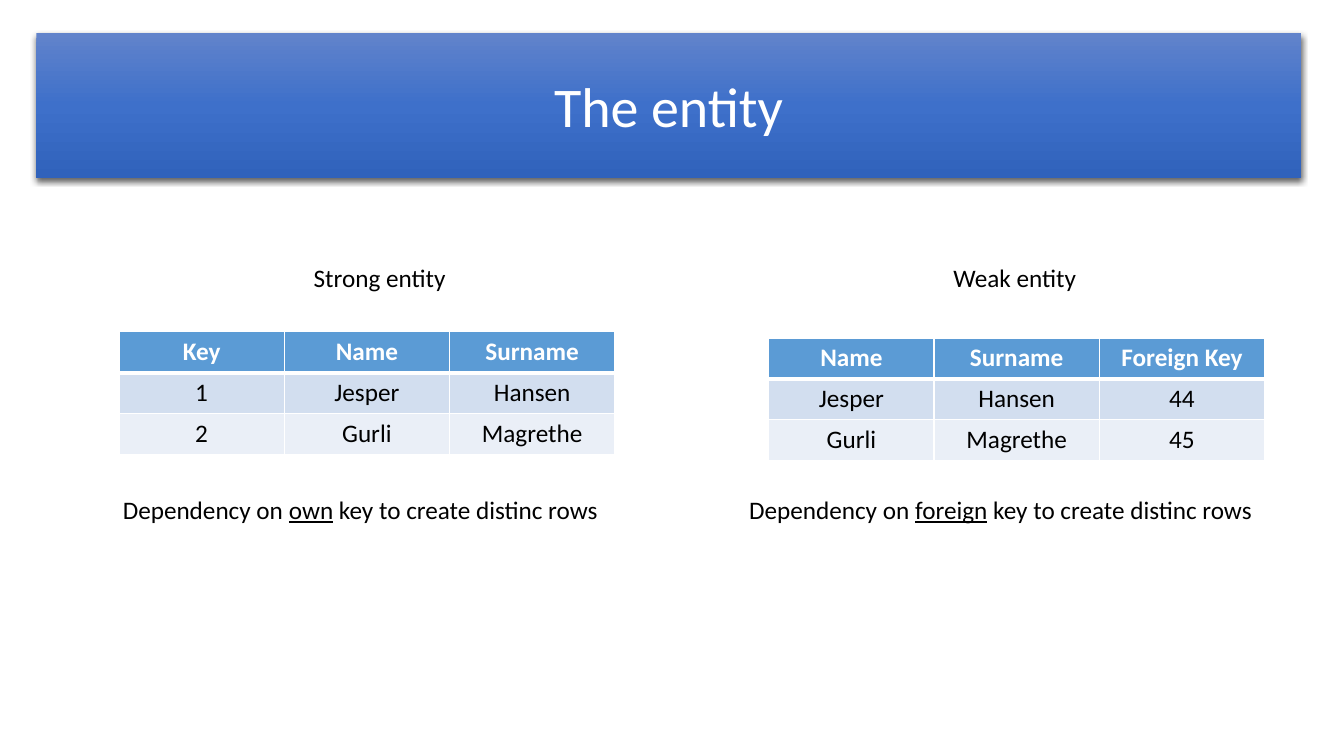
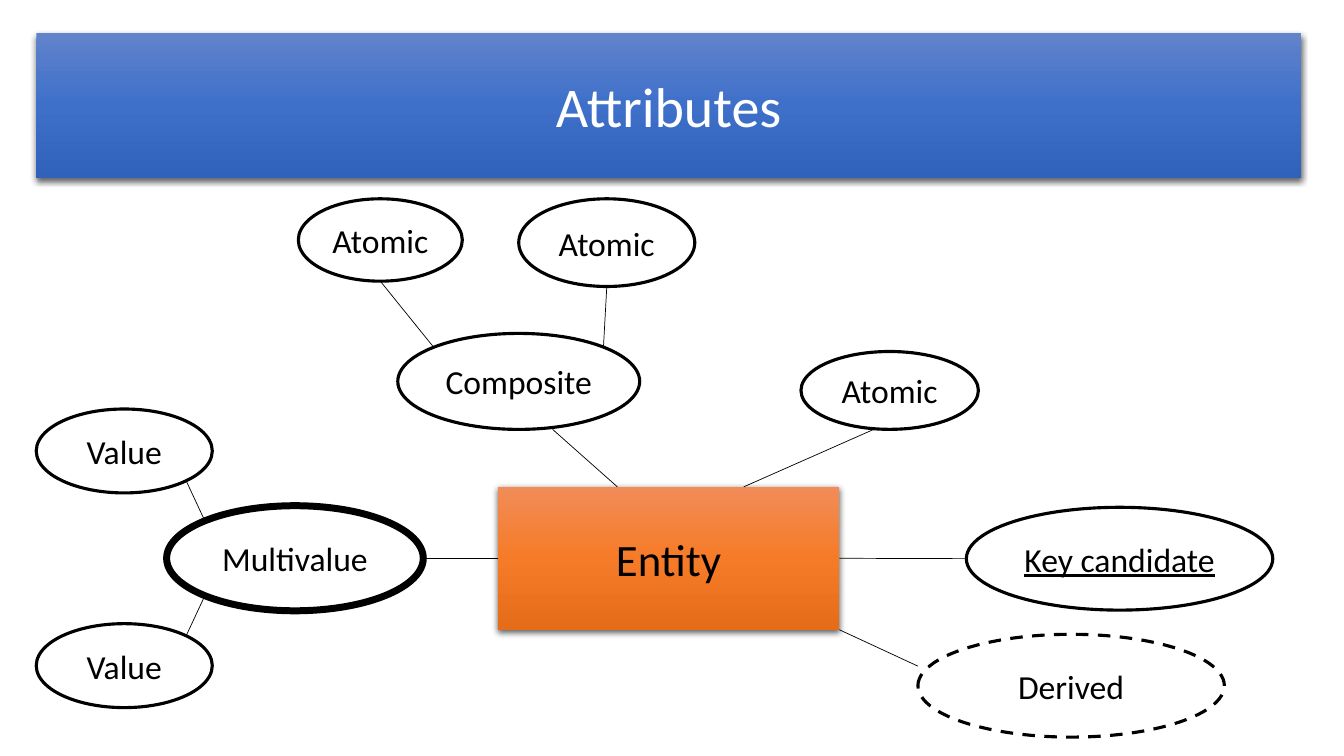
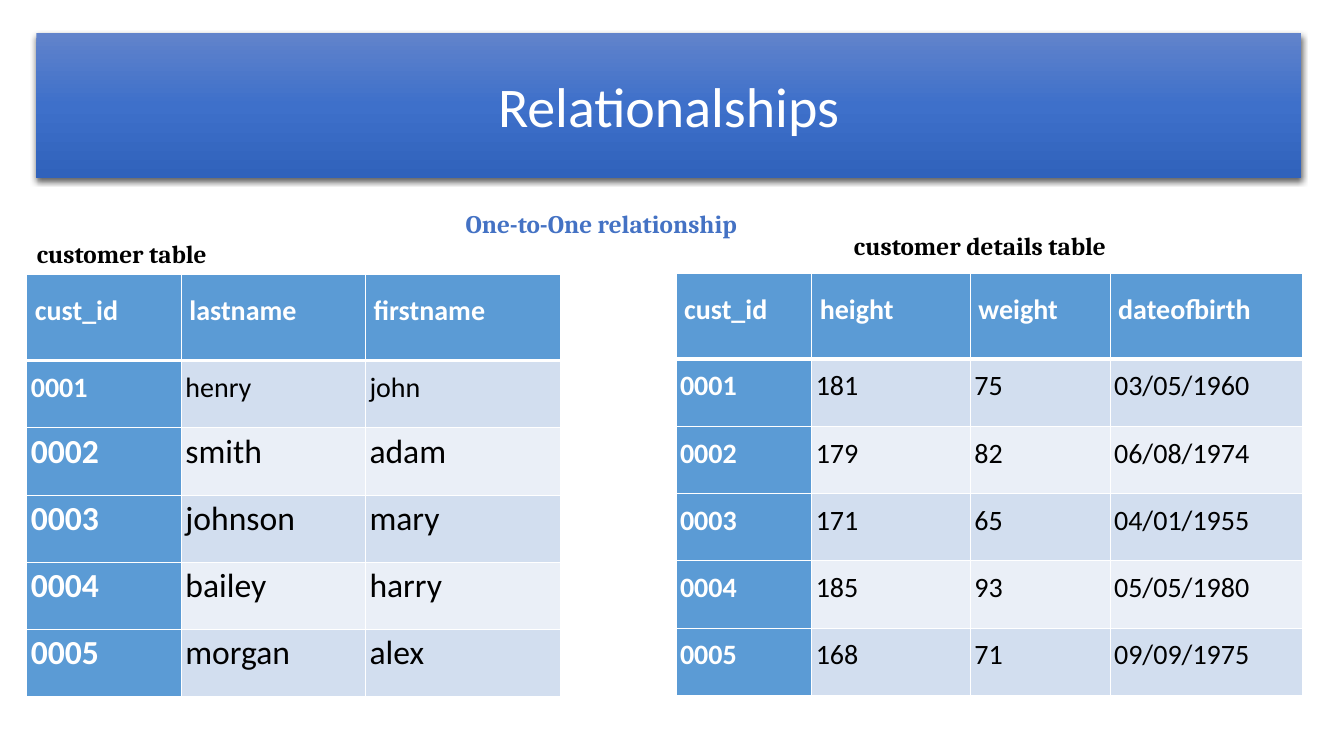
import dataclasses
import copy
import typing

import lxml.etree
import pptx
import pptx.dml.color
import pptx.enum.dml
import pptx.enum.shapes
import pptx.enum.text
import pptx.oxml.ns
import pptx.presentation
import pptx.shapes.autoshape
import pptx.slide
import pptx.table
import pptx.text.text
import pptx.util

RGBColor = pptx.dml.color.RGBColor
Align = pptx.enum.text.PP_ALIGN
Anchor = pptx.enum.text.MSO_ANCHOR
Preset = pptx.enum.shapes.MSO_SHAPE
qn = pptx.oxml.ns.qn

BLACK = RGBColor(0x00, 0x00, 0x00)
WHITE = RGBColor(0xFF, 0xFF, 0xFF)
HEADING_BLUE = RGBColor(0x44, 0x72, 0xC4)
HEADER_FILL = RGBColor(0x5B, 0x9B, 0xD5)
BAND_FILLS = (RGBColor(0xD2, 0xDE, 0xEF), RGBColor(0xEA, 0xEF, 0xF7))
BLUE_GRADIENT = (
    RGBColor(0x61, 0x83, 0xCB),
    RGBColor(0x3E, 0x70, 0xCA),
    RGBColor(0x30, 0x62, 0xBB),
)
ORANGE_GRADIENT = (
    RGBColor(0xF1, 0x8C, 0x57),
    RGBColor(0xF6, 0x7B, 0x28),
    RGBColor(0xE5, 0x6C, 0x19),
)
SLIDE_WIDTH = pptx.util.Inches(13.333)
SLIDE_HEIGHT = pptx.util.Inches(7.5)
TITLE_ONLY_LAYOUT = 5


def across(percent: float) -> int:
    return round(SLIDE_WIDTH * percent / 100)


def down(percent: float) -> int:
    return round(SLIDE_HEIGHT * percent / 100)


@dataclasses.dataclass(frozen=True)
class Box:
    left: float
    top: float
    width: float
    height: float

    def lengths(self) -> tuple[int, int, int, int]:
        return across(self.left), down(self.top), across(self.width), down(self.height)

    def point(self, share: tuple[float, float]) -> tuple[int, int]:
        return (
            across(self.left + self.width * share[0]),
            down(self.top + self.height * share[1]),
        )


@dataclasses.dataclass(frozen=True)
class Label:
    text: str
    box: Box
    underlined: str = ""
    font: str = "Calibri"
    color: RGBColor = BLACK
    bold: bool = False
    line_spacing: float | None = None


@dataclasses.dataclass(frozen=True)
class Attribute:
    text: str
    box: Box
    line_width: float = 2.25
    dashed: bool = False
    underlined: str = ""


class Link(typing.NamedTuple):
    start: str
    start_share: tuple[float, float]
    end: str
    end_share: tuple[float, float]


@dataclasses.dataclass(frozen=True)
class TableStyle:
    size: float
    header_margins: tuple[float, float]
    body_margins: tuple[float, float]
    alignment: Align
    anchor: Anchor
    line_spacing: pptx.util.Length | None
    key_column: bool
    header_height: float
    row_height: float


@dataclasses.dataclass(frozen=True)
class DataTable:
    left: float
    top: float
    columns: tuple[float, ...]
    rows: tuple[tuple[str, ...], ...]
    style: TableStyle
    later_size: float | None = None


TITLE_BOX = Box(2.7, 4.4, 94.1, 19.1)
COMPACT = TableStyle(
    18, (0.1, 0.05), (0.1, 0.05), Align.CENTER, Anchor.TOP, None, False, 5.4, 5.4
)
SPACIOUS = TableStyle(
    20, (0.08, 0.08), (0.04, 0.04), Align.LEFT, Anchor.MIDDLE,
    pptx.util.Pt(15.4), True, 11.4, 8.9,
)

ENTITY_LABELS = (
    Label("Weak entity", Box(70.2, 34.1, 10.7, 5.3)),
    Label("Strong entity", Box(22.6, 34.1, 11.5, 5.3)),
    Label("Dependency on own key to create distinc rows",
          Box(8.4, 64.7, 37.3, 5.3), underlined="own"),
    Label("Dependency on foreign key to create distinc rows",
          Box(55, 64.7, 39.4, 5.3), underlined="foreign"),
)
ENTITY_TABLES = (
    DataTable(8.85, 43.9, (12.3,) * 3, (
        ("Key", "Name", "Surname"),
        ("1", "Jesper", "Hansen"),
        ("2", "Gurli", "Magrethe"),
    ), COMPACT),
    DataTable(57.2, 44.7, (12.3,) * 3, (
        ("Name", "Surname", "Foreign Key"),
        ("Jesper", "Hansen", "44"),
        ("Gurli", "Magrethe", "45"),
    ), COMPACT),
)

ENTITY_BOX = Box(37.05, 64.4, 25.4, 18.9)
ATTRIBUTES = {
    "multivalue": Attribute("Multivalue", Box(12.4, 66.9, 19.1, 13.9), line_width=5),
    "composite": Attribute("Composite", Box(29.6, 44.1, 18, 12.7)),
    "left part": Attribute("Atomic", Box(22.2, 26.3, 12.2, 10.9)),
    "right part": Attribute("Atomic", Box(38.6, 26.3, 13.1, 11.6)),
    "atomic": Attribute("Atomic", Box(59.6, 46.5, 13.2, 10.3)),
    "key": Attribute("Key candidate", Box(71.9, 67.1, 22.8, 13.6),
                     underlined="Key candidate"),
    "upper value": Attribute("Value", Box(2.7, 54.1, 13.1, 11.1)),
    "lower value": Attribute("Value", Box(2.7, 82.5, 13.1, 11.1)),
    "derived": Attribute("Derived", Box(68.3, 83.9, 22.8, 13.6), dashed=True),
}
LINKS = (
    Link("atomic", (0.41, 1), "entity", (0.72, 0)),
    Link("composite", (0.64, 1), "entity", (0.35, 0)),
    Link("key", (0, 0.5), "entity", (1, 0.5)),
    Link("entity", (0, 0.5), "multivalue", (1, 0.5)),
    Link("lower value", (0.85, 0.15), "multivalue", (0.15, 0.85)),
    Link("upper value", (0.85, 0.85), "multivalue", (0.15, 0.15)),
    Link("composite", (0.15, 0.15), "left part", (0.5, 1)),
    Link("composite", (0.85, 0.15), "right part", (0.5, 1)),
    Link("entity", (1, 1), "derived", (0, 0.31)),
)

RELATIONSHIP_LABELS = (
    Label("customer table", Box(2, 30.9, 16, 5.3), font="Cambria", bold=True),
    Label("customer details table", Box(62.8, 29.5, 23, 5.5),
          font="Cambria", bold=True, line_spacing=1.07),
    Label("One-to-One relationship", Box(33.9, 26.9, 25.2, 5.3),
          font="Cambria", color=HEADING_BLUE, bold=True),
)
RELATIONSHIP_TABLES = (
    DataTable(2, 36.3, (11.5, 13.7, 14.5), (
        ("cust_id", "lastname", "firstname"),
        ("0001", "henry", "john"),
        ("0002", "smith", "adam"),
        ("0003", "johnson", "mary"),
        ("0004", "bailey", "harry"),
        ("0005", "morgan", "alex"),
    ), SPACIOUS, later_size=24),
    DataTable(50.3, 36.1, (10.1, 11.8, 10.4, 14.3), (
        ("cust_id", "height", "weight", "dateofbirth"),
        ("0001", "181", "75", "03/05/1960"),
        ("0002", "179", "82", "06/08/1974"),
        ("0003", "171", "65", "04/01/1955"),
        ("0004", "185", "93", "05/05/1980"),
        ("0005", "168", "71", "09/09/1975"),
    ), SPACIOUS),
)


def write_text(
    frame: pptx.text.text.TextFrame,
    text: str,
    *,
    size: float,
    color: RGBColor = BLACK,
    font: str = "Calibri",
    bold: bool = False,
    underlined: str = "",
    alignment: Align = Align.LEFT,
    line_spacing: float | pptx.util.Length | None = None,
) -> None:
    paragraph = frame.paragraphs[0]
    paragraph.alignment = alignment
    paragraph.line_spacing = line_spacing
    parts = text.partition(underlined) if underlined else (text,)
    for part in filter(None, parts):
        run = paragraph.add_run()
        run.text = part
        run.font.size = pptx.util.Pt(size)
        run.font.name = font
        run.font.bold = bold
        run.font.underline = part == underlined
        run.font.color.rgb = color


def apply_raised_gradient(
    shape: pptx.shapes.autoshape.Shape, colors: tuple[RGBColor, ...]
) -> None:
    shape.fill.gradient()
    shape.fill.gradient_angle = 270
    properties = shape.element.spPr
    stop_list = properties.find(".//" + qn("a:gsLst"))
    stop_list.append(copy.deepcopy(stop_list[-1]))
    for index, (stop, color) in enumerate(zip(shape.fill.gradient_stops, colors)):
        stop.position = index / (len(colors) - 1)
        stop.color.rgb = color
    shape.line.fill.background()
    shape.shadow.inherit = False
    shadow = lxml.etree.SubElement(
        properties.find(qn("a:effectLst")), qn("a:outerShdw"),
        blurRad=str(pptx.util.Pt(4.5)), dist=str(pptx.util.Pt(1.5)),
        dir="5400000", algn="ctr", rotWithShape="0",
    )
    tint = lxml.etree.SubElement(shadow, qn("a:srgbClr"), val=str(BLACK))
    lxml.etree.SubElement(tint, qn("a:alpha"), val="63000")


def add_titled_slide(
    presentation: pptx.presentation.Presentation, text: str
) -> pptx.slide.Slide:
    slide = presentation.slides.add_slide(presentation.slide_layouts[TITLE_ONLY_LAYOUT])
    title = slide.shapes.title
    title.left, title.top, title.width, title.height = TITLE_BOX.lengths()
    apply_raised_gradient(title, BLUE_GRADIENT)
    title.text_frame.vertical_anchor = Anchor.MIDDLE
    write_text(title.text_frame, text, size=40, color=WHITE, alignment=Align.CENTER)
    return slide


def add_label(slide: pptx.slide.Slide, label: Label) -> None:
    frame = slide.shapes.add_textbox(*label.box.lengths()).text_frame
    frame.word_wrap = False
    frame.auto_size = pptx.enum.text.MSO_AUTO_SIZE.SHAPE_TO_FIT_TEXT
    write_text(
        frame, label.text, size=18, color=label.color, font=label.font,
        bold=label.bold, underlined=label.underlined, line_spacing=label.line_spacing,
    )


def set_borders(cell: pptx.table._Cell, top: float, bottom: float) -> None:
    properties = cell._tc.get_or_add_tcPr()
    widths = {"a:lnL": 1, "a:lnR": 1, "a:lnT": top, "a:lnB": bottom}
    for index, (tag, width) in enumerate(widths.items()):
        border = lxml.etree.Element(qn(tag), w=str(pptx.util.Pt(width)))
        fill = lxml.etree.SubElement(border, qn("a:solidFill"))
        lxml.etree.SubElement(fill, qn("a:srgbClr"), val=str(WHITE))
        properties.insert(index, border)


def format_cell(
    cell: pptx.table._Cell, data: DataTable, row: int, column: int
) -> None:
    style = data.style
    is_header = row == 0
    is_strong = is_header or (style.key_column and column == 0)
    cell.fill.solid()
    cell.fill.fore_color.rgb = HEADER_FILL if is_strong else BAND_FILLS[(row - 1) % 2]
    horizontal, vertical = style.header_margins if is_header else style.body_margins
    cell.margin_left = cell.margin_right = pptx.util.Inches(horizontal)
    cell.margin_top = cell.margin_bottom = pptx.util.Inches(vertical)
    cell.vertical_anchor = style.anchor
    set_borders(cell, top=3 if row == 1 else 1, bottom=3 if is_header else 1)
    write_text(
        cell.text_frame, data.rows[row][column],
        size=data.later_size if data.later_size and row > 1 else style.size,
        color=WHITE if is_strong else BLACK, bold=is_strong,
        alignment=style.alignment, line_spacing=style.line_spacing,
    )


def add_data_table(slide: pptx.slide.Slide, data: DataTable) -> None:
    style = data.style
    heights = [style.header_height] + [style.row_height] * (len(data.rows) - 1)
    box = Box(data.left, data.top, sum(data.columns), sum(heights))
    table = slide.shapes.add_table(
        len(data.rows), len(data.columns), *box.lengths()
    ).table
    for column, width in zip(table.columns, data.columns):
        column.width = across(width)
    for row, height in zip(table.rows, heights):
        row.height = down(height)
    for row in range(len(data.rows)):
        for column in range(len(data.columns)):
            format_cell(table.cell(row, column), data, row, column)


def add_entity(slide: pptx.slide.Slide) -> None:
    shape = slide.shapes.add_shape(Preset.RECTANGLE, *ENTITY_BOX.lengths())
    apply_raised_gradient(shape, ORANGE_GRADIENT)
    shape.text_frame.vertical_anchor = Anchor.MIDDLE
    write_text(shape.text_frame, "Entity", size=32, alignment=Align.CENTER)


def add_attribute(slide: pptx.slide.Slide, attribute: Attribute) -> None:
    shape = slide.shapes.add_shape(Preset.OVAL, *attribute.box.lengths())
    shape.shadow.inherit = False
    shape.fill.solid()
    shape.fill.fore_color.rgb = WHITE
    shape.line.color.rgb = BLACK
    shape.line.width = pptx.util.Pt(attribute.line_width)
    if attribute.dashed:
        shape.line.dash_style = pptx.enum.dml.MSO_LINE.DASH
    shape.text_frame.vertical_anchor = Anchor.MIDDLE
    write_text(
        shape.text_frame, attribute.text, size=24,
        underlined=attribute.underlined, alignment=Align.CENTER,
    )


def add_link(slide: pptx.slide.Slide, link: Link, boxes: dict[str, Box]) -> None:
    connector = slide.shapes.add_connector(
        pptx.enum.shapes.MSO_CONNECTOR.STRAIGHT,
        *boxes[link.start].point(link.start_share),
        *boxes[link.end].point(link.end_share),
    )
    connector.line.color.rgb = BLACK
    connector.line.width = pptx.util.Pt(0.5)
    lxml.etree.SubElement(connector.element.spPr, qn("a:effectLst"))


def add_table_slide(
    presentation: pptx.presentation.Presentation,
    title: str,
    labels: tuple[Label, ...],
    tables: tuple[DataTable, ...],
) -> None:
    slide = add_titled_slide(presentation, title)
    for label in labels:
        add_label(slide, label)
    for data in tables:
        add_data_table(slide, data)


def add_attributes_slide(presentation: pptx.presentation.Presentation) -> None:
    slide = add_titled_slide(presentation, "Attributes")
    add_entity(slide)
    boxes = {name: attribute.box for name, attribute in ATTRIBUTES.items()}
    boxes["entity"] = ENTITY_BOX
    for link in LINKS:
        add_link(slide, link, boxes)
    for attribute in ATTRIBUTES.values():
        add_attribute(slide, attribute)


def main() -> None:
    presentation = pptx.Presentation()
    presentation.slide_width = SLIDE_WIDTH
    presentation.slide_height = SLIDE_HEIGHT
    add_table_slide(presentation, "The entity", ENTITY_LABELS, ENTITY_TABLES)
    add_attributes_slide(presentation)
    add_table_slide(
        presentation, "Relationalships", RELATIONSHIP_LABELS, RELATIONSHIP_TABLES
    )
    presentation.save("out.pptx")


if __name__ == "__main__":
    main()
